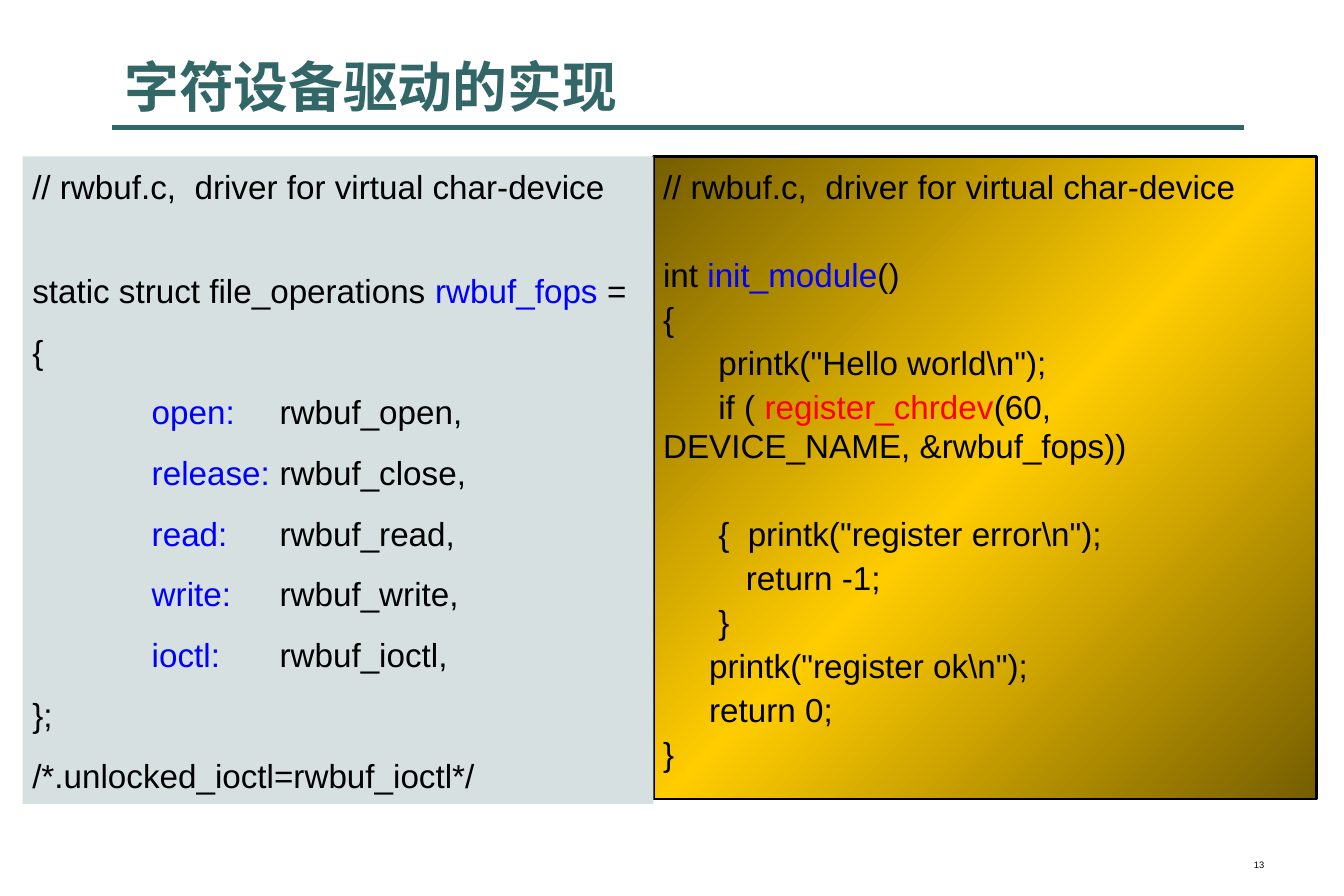
from lxml import etree
from copy import deepcopy
from pptx import Presentation
from pptx import util as u
from pptx.dml.color import RGBColor
from pptx.enum import shapes, text
from pptx.oxml.ns import qn

PX = 9144  # EMU in one px, 100 px to the inch
TEAL, BLACK, BLUE, RED = "336666", "000000", "0000FF", "FF0000"
PALE, GOLD, BROWN = "D6E0E0", "FFCC00", "765E00"
HEADER = "// rwbuf.c,  driver for virtual char-device"
CODE_SIZE, LINE_HEIGHT = 20, 24
FIELD_TABS = (100, 207)
FIELDS = (("open:", "rwbuf_open,"), ("release:", "rwbuf_close,"),
          ("read:", "rwbuf_read,"), ("write:", "rwbuf_write,"),
          ("ioctl:", "rwbuf_ioctl,"))

# Each code line is (space before in points, [(text, colour), ...])
FOPS_CODE = [
    (0, [(HEADER, BLACK)]),
    (39, [("static struct file_operations ", BLACK), ("rwbuf_fops", BLUE), (" =", BLACK)]),
    (12.5, [("{", BLACK)]),
    *[(12.5, [("\t" + name, BLUE), ("\t" + handler, BLACK)]) for name, handler in FIELDS],
    (12.5, [("};", BLACK)]),
    (12.5, [("/*.unlocked_ioctl=rwbuf_ioctl*/", BLACK)]),
]
INIT_CODE = [
    (0, [(HEADER, BLACK)]),
    (29, [("int ", BLACK), ("init_module", BLUE), ("()", BLACK)]),
    (2.5, [("{", BLACK)]),
    (2.5, [('      printk("Hello world\\n");', BLACK)]),
    (2.5, [("      if ( ", BLACK), ("register_chrdev", RED), ("(60,", BLACK)]),
    (0, [("DEVICE_NAME, &rwbuf_fops))", BLACK)]),
    (29, [('      {  printk("register error\\n");', BLACK)]),
    (2.5, [("         return -1;", BLACK)]),
    (2.5, [("      }", BLACK)]),
    (2.5, [('     printk("register ok\\n");', BLACK)]),
    (2.5, [("     return 0;", BLACK)]),
    (2.5, [("}", BLACK)]),
]


def px(*lengths):
    return [u.Emu(length * PX) for length in lengths]


def colour(hex_string):
    return RGBColor.from_string(hex_string)


def add_span(para, words, size, hex_string, font="Arial", bold=False):
    span = para.add_run()
    span.text = words
    span.font.size = u.Pt(size)
    span.font.name = font
    span.font.bold = bold
    span.font.color.rgb = colour(hex_string)


def add_tabs(para, stops):
    tabs = etree.SubElement(para._p.get_or_add_pPr(), qn("a:tabLst"))
    for stop in stops:
        etree.SubElement(tabs, qn("a:tab"), pos=str(stop * PX), algn="l")


def add_title(page, words, place):
    title = page.shapes.title
    title.left, title.top, title.width, title.height = px(*place)
    frame = title.text_frame
    frame.auto_size = text.MSO_AUTO_SIZE.NONE
    frame.vertical_anchor = text.MSO_ANCHOR.BOTTOM
    para = frame.paragraphs[0]
    para.alignment = text.PP_ALIGN.LEFT
    add_span(para, words, 33, TEAL, "Montserrat", True)


def add_rule(page, start, end):
    rule = page.shapes.add_connector(shapes.MSO_CONNECTOR.STRAIGHT, *px(*start, *end))
    rule.line.color.rgb = colour(TEAL)
    rule.line.width = u.Pt(3)
    etree.SubElement(rule._element.spPr, qn("a:effectLst"))


def add_code_panel(page, place, lines, tabs=()):
    panel = page.shapes.add_shape(shapes.MSO_SHAPE.RECTANGLE, *px(*place))
    panel.shadow.inherit = False
    panel.line.fill.background()
    frame = panel.text_frame
    frame.word_wrap = True
    frame.vertical_anchor = text.MSO_ANCHOR.TOP
    frame.margin_left, frame.margin_top, frame.margin_right, frame.margin_bottom = px(8, 8, 8, 8)
    for index, (before, spans) in enumerate(lines):
        para = frame.add_paragraph() if index else frame.paragraphs[0]
        para.alignment = text.PP_ALIGN.LEFT
        para.line_spacing = u.Pt(LINE_HEIGHT)
        para.space_before = u.Pt(before)
        if tabs:
            add_tabs(para, tabs)
        for words, hex_string in spans:
            add_span(para, words, CODE_SIZE, hex_string)
    return panel


def fill_gold(panel):
    panel.fill.gradient()
    panel.fill.gradient_angle = 315
    first, middle = panel.fill.gradient_stops
    first.position, middle.position = 0, 0.5
    first.color.rgb, middle.color.rgb = colour(BROWN), colour(GOLD)
    # Third stop mirrors the first
    stops = panel._element.spPr.find(".//" + qn("a:gsLst"))
    last = deepcopy(stops[0])
    last.set("pos", "100000")
    stops.append(last)


def add_page_number(page, number, place):
    box = page.shapes.add_textbox(*px(*place))
    box.text_frame.word_wrap = True
    para = box.text_frame.paragraphs[0]
    para.alignment = text.PP_ALIGN.CENTER
    add_span(para, number, 5.6, BLACK)


def main():
    deck = Presentation()
    deck.slide_width, deck.slide_height = px(1125, 750)
    page = deck.slides.add_slide(deck.slide_layouts[5])

    # Heading
    add_title(page, "字符设备驱动的实现", (94, 28, 947, 76))
    add_rule(page, (94, 107), (1041, 107))

    # Right panel lies beneath the left one
    init_panel = add_code_panel(page, (547, 131, 555, 538), INIT_CODE)
    fill_gold(init_panel)
    init_panel.line.color.rgb = colour(BLACK)
    init_panel.line.width = u.Pt(1.5)

    # Left panel
    fops_panel = add_code_panel(page, (19, 131, 528, 542), FOPS_CODE, FIELD_TABS)
    fops_panel.fill.solid()
    fops_panel.fill.fore_color.rgb = colour(PALE)

    # Footer
    add_page_number(page, "13", (983, 714, 142, 21))
    deck.save("out.pptx")


if __name__ == "__main__":
    main()
